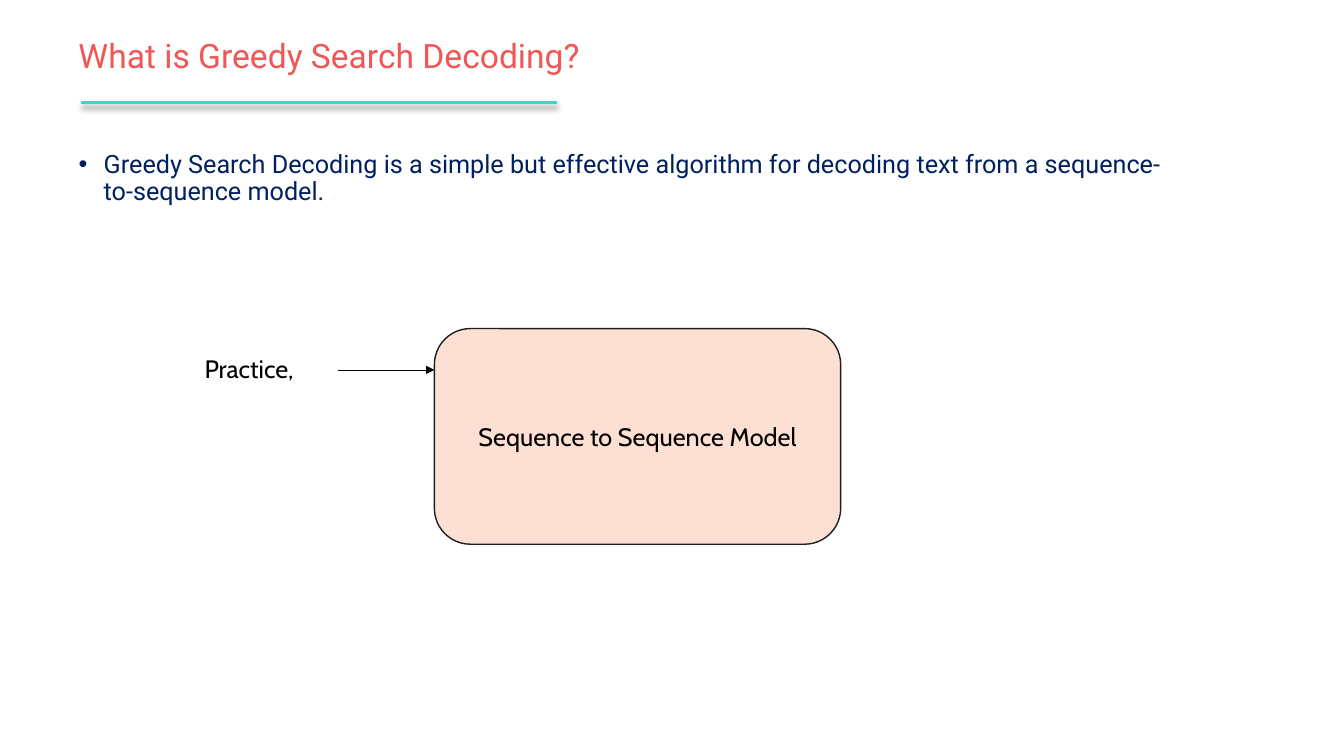
from lxml.etree import SubElement
from pptx import Presentation
from pptx.dml.color import RGBColor
from pptx.enum.shapes import MSO_CONNECTOR as Connector, MSO_SHAPE as Shape
from pptx.enum.text import MSO_ANCHOR as Anchor, PP_ALIGN as Align
from pptx.oxml.ns import qn
from pptx.util import Pt

COLORS = {
    "title": "F05654",
    "rule": "43D0CA",
    "body": "002060",
    "model": "FDE0D3",
    "outline": "1E1E1E",
    "black": "000000",
}


def color(name):
    return RGBColor.from_string(COLORS[name])


def write_text(shape, text, size=18, font="Cabin", ink="black", align=Align.LEFT,
               anchor=Anchor.TOP, line_spacing=None, bullet_indent=None):
    frame = shape.text_frame
    frame.word_wrap = True
    frame.vertical_anchor = anchor
    paragraph = frame.paragraphs[0]
    paragraph.text = text
    paragraph.alignment = align
    paragraph.line_spacing = line_spacing
    if bullet_indent:
        properties = paragraph._p.get_or_add_pPr()
        properties.set("marL", str(Pt(bullet_indent)))
        properties.set("indent", str(-Pt(bullet_indent)))
        SubElement(properties, qn("a:buFont"), typeface="Arial")
        SubElement(properties, qn("a:buChar"), char="•")
    paragraph.font.size = Pt(size)
    paragraph.font.name = font
    paragraph.font.color.rgb = color(ink)


class SlideBuilder:
    def __init__(self, slide):
        self.slide = slide

    def text_box(self, left, top, width, height, text, **text_format):
        box = self.slide.shapes.add_textbox(Pt(left), Pt(top), Pt(width), Pt(height))
        write_text(box, text, **text_format)

    def rounded_box(self, left, top, width, height, text, **text_format):
        box = self.slide.shapes.add_shape(
            Shape.ROUNDED_RECTANGLE, Pt(left), Pt(top), Pt(width), Pt(height))
        box.shadow.inherit = False
        box.fill.solid()
        box.fill.fore_color.rgb = color("model")
        box.line.color.rgb = color("outline")
        box.line.width = Pt(1)
        write_text(box, text, align=Align.CENTER, anchor=Anchor.MIDDLE, **text_format)

    def horizontal_line(self, left, right, y, ink, width, arrow=False, shadow=False):
        line = self.slide.shapes.add_connector(
            Connector.STRAIGHT, Pt(left), Pt(y), Pt(right), Pt(y))
        line.line.color.rgb = color(ink)
        line.line.width = Pt(width)
        if arrow:
            SubElement(line.line._get_or_add_ln(), qn("a:tailEnd"), type="triangle")
        effects = SubElement(line._element.spPr, qn("a:effectLst"))
        if shadow:
            outer = SubElement(effects, qn("a:outerShdw"), blurRad=str(Pt(4)),
                               dist=str(Pt(3)), dir="5400000", rotWithShape="0")
            shade = SubElement(outer, qn("a:srgbClr"), val=COLORS["black"])
            SubElement(shade, qn("a:alpha"), val="40000")


def main():
    presentation = Presentation()
    presentation.slide_width, presentation.slide_height = Pt(960), Pt(540)
    builder = SlideBuilder(presentation.slides.add_slide(presentation.slide_layouts[6]))

    builder.horizontal_line(58, 398, 73.4, "rule", 2.25, shadow=True)
    builder.text_box(49, -10.8, 828, 104.4, "What is Greedy Search Decoding?",
                     size=24, font="Roboto", ink="title", anchor=Anchor.MIDDLE,
                     line_spacing=0.9)
    builder.text_box(49, 105, 805.7, 422,
                     "Greedy Search Decoding is a simple but effective algorithm for "
                     "decoding text from a sequence-to-sequence model.",
                     font="Roboto", ink="body", line_spacing=0.9, bullet_indent=18)

    model_left = 310.3
    builder.rounded_box(model_left, 234.7, 290.2, 154, "Sequence to Sequence Model")
    builder.horizontal_line(241.2, model_left, 264.2, "black", 0.5, arrow=True)
    builder.text_box(139, 249.1, 108.7, 29, "Practice,")

    presentation.save("out.pptx")


if __name__ == "__main__":
    main()
